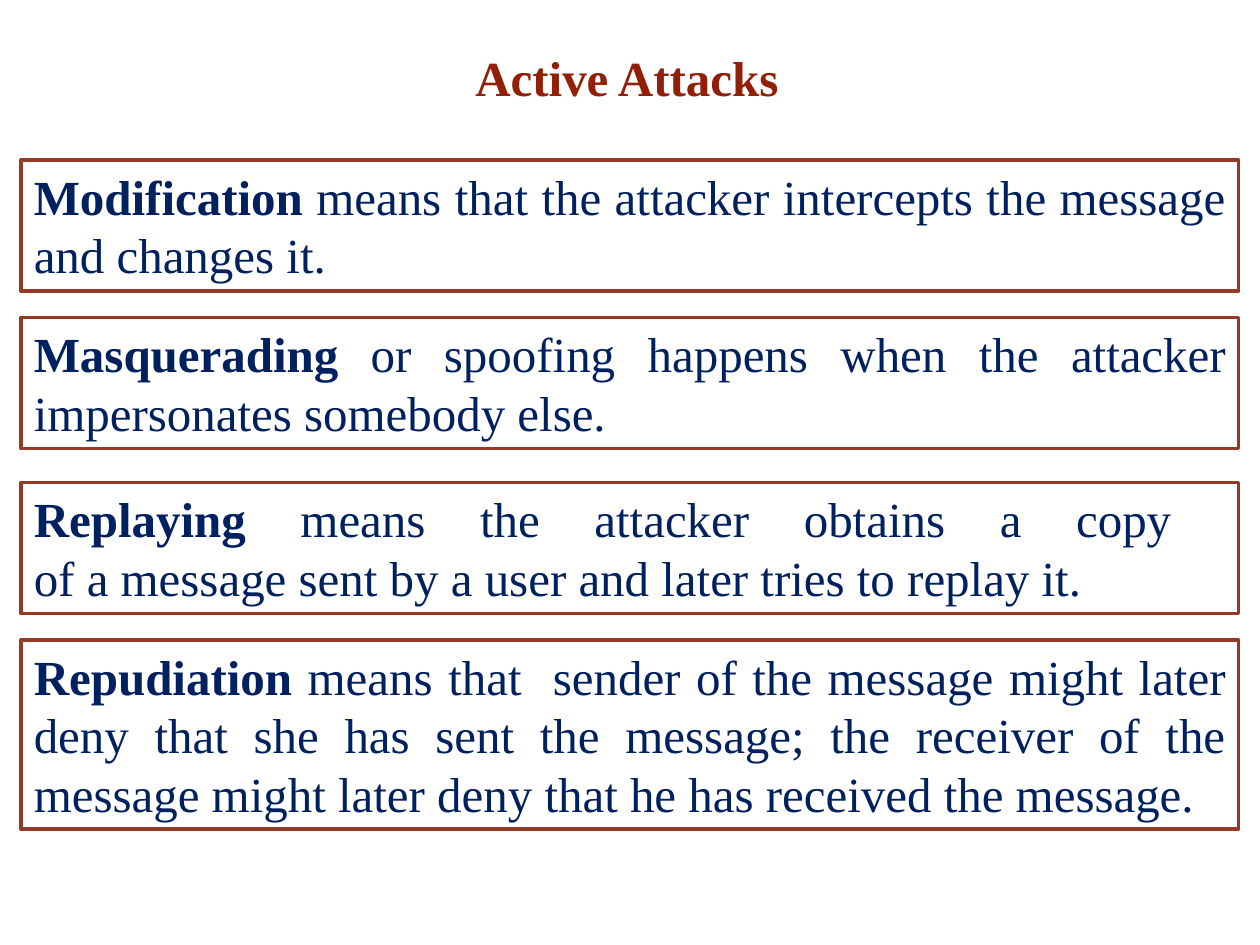
from pptx import Presentation
from pptx.dml.color import RGBColor
from pptx.enum.shapes import MSO_SHAPE
from pptx.enum.text import MSO_ANCHOR, MSO_AUTO_SIZE, PP_ALIGN
from pptx.util import Inches, Pt

RECTANGLE = MSO_SHAPE.RECTANGLE
TOP = MSO_ANCHOR.TOP
GROW = MSO_AUTO_SIZE.SHAPE_TO_FIT_TEXT
CENTER, JUSTIFY = PP_ALIGN.CENTER, PP_ALIGN.JUSTIFY

COLORS = {"title": "921F07", "text": "002060", "border": "933926"}
FONT = "Times New Roman"
TEXT_SIZE = Pt(28)
LINE_PITCH = Pt(33.6)

WIDTH, HEIGHT = Inches(10), Inches(7.5)
MARGIN = Inches(0.17)
TWO_LINES, THREE_LINES = Inches(1.04), Inches(1.5)

# Top, height, term and the lines that explain it
DEFINITIONS = [
    (1.27, TWO_LINES, "Modification",
     [" means that the attacker intercepts the message and changes it."]),
    (2.52, TWO_LINES, "Masquerading",
     [" or spoofing happens when the attacker impersonates somebody else."]),
    (3.83, TWO_LINES, "Replaying",
     [" means the attacker obtains a copy ",
      "of a message sent by a user and later tries to replay it."]),
    (5.08, THREE_LINES, "Repudiation",
     [" means that  sender of the message might later deny that she has sent "
      "the message; the receiver of the message might later deny that he has "
      "received the message."]),
]


def style_paragraph(paragraph, color, alignment):
    paragraph.alignment = alignment
    paragraph.line_spacing = LINE_PITCH
    paragraph.font.name = FONT
    paragraph.font.size = TEXT_SIZE
    paragraph.font.color.rgb = RGBColor.from_string(COLORS[color])


def add_title(slide, box, title):
    frame = slide.shapes.add_textbox(*box).text_frame
    frame.word_wrap = True
    frame.vertical_anchor = TOP
    heading = frame.paragraphs[0]
    heading.text = title
    style_paragraph(heading, "title", CENTER)
    heading.font.bold = True


def add_definition(slide, box, term, lines):
    """Outlined box with a bold term followed by its explanation."""
    panel = slide.shapes.add_shape(RECTANGLE, *box)
    panel.shadow.inherit = False
    panel.fill.background()
    panel.line.color.rgb = RGBColor.from_string(COLORS["border"])
    panel.line.width = Pt(2.25)

    frame = panel.text_frame
    frame.word_wrap = True
    frame.auto_size = GROW
    frame.vertical_anchor = TOP
    definition = frame.paragraphs[0]
    style_paragraph(definition, "text", JUSTIFY)
    term_run = definition.add_run()
    term_run.text = term
    term_run.font.bold = True
    for index, line in enumerate(lines):
        if index:
            definition.add_line_break()
        definition.add_run().text = line


def main():
    deck = Presentation()
    deck.slide_width, deck.slide_height = WIDTH, HEIGHT
    slide = deck.slides.add_slide(deck.slide_layouts[6])
    title_box = (Inches(0.83), Inches(0.33), Inches(8.29), Inches(0.69))
    add_title(slide, title_box, "Active Attacks")
    for top, height, term, lines in DEFINITIONS:
        box = (MARGIN, Inches(top), WIDTH - 2 * MARGIN, height)
        add_definition(slide, box, term, lines)
    deck.save("out.pptx")


if __name__ == "__main__":
    main()
